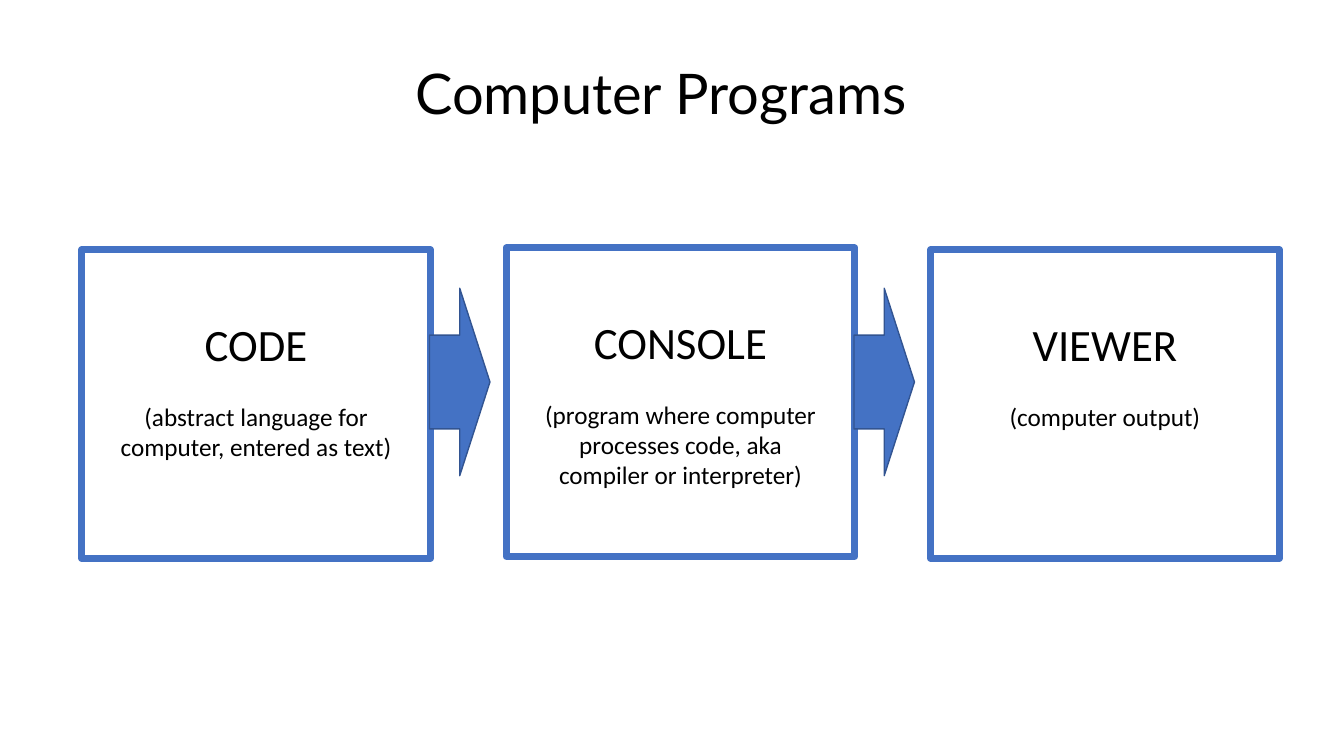
from pptx import Presentation
from pptx.dml.color import RGBColor
from pptx.enum.shapes import MSO_SHAPE as Kind
from pptx.enum.text import MSO_ANCHOR as Anchor, MSO_AUTO_SIZE as Fit, PP_ALIGN as Align
from pptx.util import Inches, Pt

LEFT, TOP, PITCH = 0.81, 2.48, 4.21
WIDE, HIGH = 3.46, 3.06
BLUE, EDGE, BLACK = "4472C4", "325491", "000000"
HEAD = {"name": "Calibri", "size": Pt(32)}
BODY = {"name": "Calibri", "size": Pt(18)}
NAME = {"name": "Lato", "size": Pt(40), "bold": False}
STAGES = [
    ("CODE", ["(abstract language for computer, entered as text)"], 0),
    ("CONSOLE", ["(program where computer processes code, aka",
                 "compiler or interpreter)"], -0.02),
    ("VIEWER", ["(computer output)"], 0),
]


def color(code):
    return RGBColor.from_string(code)


def apply(item, form):
    for key, value in form.items():
        setattr(item, key, value)


def write(para, text, form, gap=0):
    para.text = text
    apply(para, {"alignment": Align.CENTER, "space_before": Pt(gap)})
    apply(para.font, form)
    para.font.color.rgb = color(BLACK)


def draw(slide, kind, box, edge, width, fill=None):
    shape = slide.shapes.add_shape(kind, *map(Inches, box))
    shape.shadow.inherit = False
    if fill:
        shape.fill.solid()
        shape.fill.fore_color.rgb = color(fill)
    else:
        shape.fill.background()
    shape.line.color.rgb = color(edge)
    shape.line.width = Pt(width)
    return shape


def title(slide, box, text):
    shape = slide.shapes.title
    apply(shape, dict(zip(("left", "top", "width", "height"), map(Inches, box))))
    frame = shape.text_frame
    apply(frame, {"word_wrap": True, "auto_size": Fit.NONE,
                  "vertical_anchor": Anchor.MIDDLE})
    write(frame.paragraphs[0], text, NAME)


def stage(slide, box, head, notes):
    frame = draw(slide, Kind.RECTANGLE, box, BLUE, 5).text_frame
    apply(frame, {"word_wrap": True, "vertical_anchor": Anchor.TOP,
                  "margin_top": Inches(0.66)})
    write(frame.paragraphs[0], head, HEAD)
    for row, note in enumerate(notes):
        write(frame.add_paragraph(), note, BODY, 0 if row else 22)


def flow(slide, box):
    left, top, wide, high = box
    for col, (head, notes, shift) in enumerate(STAGES):
        stage(slide, (left + col * PITCH, top + shift, wide, high), head, notes)
    for col in range(len(STAGES) - 1):
        spot = (left + col * PITCH + wide - 0.01, top + 0.38, 0.6, 1.86)
        draw(slide, Kind.RIGHT_ARROW, spot, EDGE, 1, BLUE)


def main():
    deck = Presentation()
    deck.slide_width, deck.slide_height = Inches(13.33), Inches(7.5)
    slide = deck.slides.add_slide(deck.slide_layouts[5])
    title(slide, (0.96, 0.53, 11.19, 0.77), "Computer Programs")
    flow(slide, (LEFT, TOP, WIDE, HIGH))
    deck.save("out.pptx")


if __name__ == "__main__":
    main()
